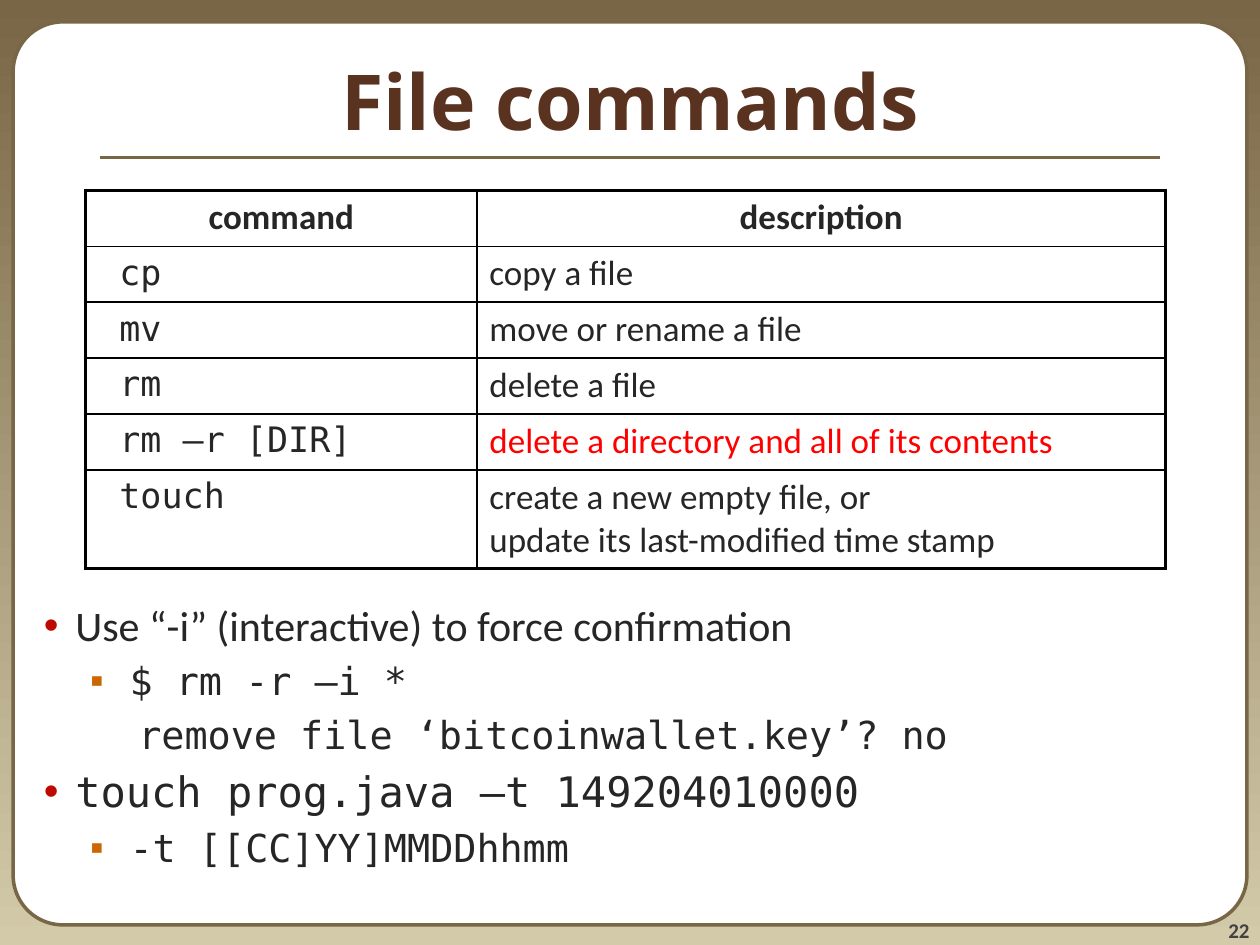
import pptx
import pptx.dml.color
import pptx.enum.shapes
import pptx.enum.text
import pptx.oxml
import pptx.oxml.ns
import pptx.util
from lxml import etree

Pt = pptx.util.Pt
ALIGN = pptx.enum.text.PP_ALIGN
ANCHOR = pptx.enum.text.MSO_ANCHOR
qn = pptx.oxml.ns.qn

BODY_FONT, CODE_FONT, TITLE_FONT = "Calibri", "DejaVu Sans Mono", "Noto Sans"
COLORS = {
    "frame": "796646", "sand": "D3CAAA", "card": "FFFFFF", "title": "5A3320",
    "text": "262626", "warning": "FF0000", "number": "424242", "border": "000000",
    "bullet": "BD0901", "sub_bullet": "CC6600",
}
COMMANDS = [
    ("cp", "copy a file"),
    ("mv", "move or rename a file"),
    ("rm", "delete a file"),
    ("rm –r [DIR]", "delete a directory and all of its contents"),
    ("touch", "create a new empty file, or\vupdate its last-modified time stamp"),
]
# Text, level, font, whether it carries a bullet
NOTES = [
    ("Use “-i” (interactive) to force confirmation", 0, BODY_FONT, True),
    ("$ rm -r –i *", 1, CODE_FONT, True),
    ("remove file ‘bitcoinwallet.key’? no", 1, CODE_FONT, False),
    ("touch prog.java –t 149204010000", 0, CODE_FONT, True),
    ("-t [[CC]YY]MMDDhhmm", 1, CODE_FONT, True),
]


def rgb(name):
    return pptx.dml.color.RGBColor.from_string(COLORS[name])


def write(paragraph, text, font=BODY_FONT, size=20, color="text", bold=False,
          align=ALIGN.LEFT, before=0):
    paragraph.text = text
    paragraph.alignment = align
    paragraph.space_before = Pt(before)
    for run in paragraph.runs:
        run.font.name = font
        run.font.size = Pt(size)
        run.font.bold = bold
        run.font.color.rgb = rgb(color)


def set_bullet(paragraph, left, hanging, character=None, color=None):
    properties = paragraph._p.get_or_add_pPr()
    properties.set("marL", str(int(Pt(left))))
    properties.set("indent", str(-int(Pt(hanging))))
    if character is None:
        etree.SubElement(properties, qn("a:buNone"))
        return
    bullet_color = etree.SubElement(properties, qn("a:buClr"))
    etree.SubElement(bullet_color, qn("a:srgbClr"), val=COLORS[color])
    etree.SubElement(properties, qn("a:buFont"), typeface="Arial")
    etree.SubElement(properties, qn("a:buChar"), char=character)


def set_borders(cell, widths):
    properties = cell._tc.get_or_add_tcPr()
    for side in "LRTB":
        line = etree.SubElement(properties, qn(f"a:ln{side}"), w=str(int(Pt(widths[side]))))
        fill = etree.SubElement(line, qn("a:solidFill"))
        etree.SubElement(fill, qn("a:srgbClr"), val=COLORS["border"])


def add_frame(slide, left, top, width, height):
    # Gradient background, dark at the top
    fill = slide.background.fill
    fill.gradient()
    fill.gradient_angle = 270
    for stop, position, name in zip(fill.gradient_stops, (0, 1), ("frame", "sand")):
        stop.position = position
        stop.color.rgb = rgb(name)
    # Rounded white card
    card = slide.shapes.add_shape(
        pptx.enum.shapes.MSO_SHAPE.ROUNDED_RECTANGLE, Pt(left), Pt(top), Pt(width), Pt(height))
    card.adjustments[0] = 0.055
    card.shadow.inherit = False
    card.fill.solid()
    card.fill.fore_color.rgb = rgb("card")
    card.line.color.rgb = rgb("frame")
    card.line.width = Pt(2)


def add_title(slide, left, top, width, height):
    title = slide.shapes.title
    slide.shapes._spTree.append(title._element)  # bring in front of the card
    title.left, title.top, title.width, title.height = map(Pt, (left, top, width, height))
    title.text_frame.vertical_anchor = ANCHOR.MIDDLE
    write(title.text_frame.paragraphs[0], "File commands", font=TITLE_FONT, size=44,
          color="title", bold=True, align=ALIGN.CENTER)
    # Rule under the title
    margin, rule_top = 57, top + height - 12
    rule = slide.shapes.add_connector(
        pptx.enum.shapes.MSO_CONNECTOR.STRAIGHT, Pt(left + margin), Pt(rule_top),
        Pt(left + width - margin), Pt(rule_top))
    rule.line.color.rgb = rgb("frame")
    rule.line.width = Pt(2.25)
    etree.SubElement(rule._element.spPr, qn("a:effectLst"))


def add_command_table(slide, left, top, width, height):
    rows = [("command", "description")] + COMMANDS
    last, row_height, command_width = len(rows) - 1, 32, 223.5
    table = slide.shapes.add_table(
        len(rows), 2, Pt(left), Pt(top), Pt(width), Pt(height)).table
    table.first_row = table.horz_banding = False
    table.columns[0].width = Pt(command_width)
    table.columns[1].width = Pt(width - command_width)
    for r, texts in enumerate(rows):
        table.rows[r].height = Pt(height - last * row_height if r == last else row_height)
        for c, text in enumerate(texts):
            cell = table.cell(r, c)
            # Heavy outline, thin inner lines
            edges = {"L": c == 0, "R": c == 1, "T": r == 0, "B": r == last}
            set_borders(cell, {side: 2.25 if outer else 1 for side, outer in edges.items()})
            cell.fill.background()
            is_code = r > 0 and c == 0
            cell.margin_left = Pt(19.2 if is_code else 7.2)
            write(cell.text_frame.paragraphs[0], text,
                  font=CODE_FONT if is_code else BODY_FONT,
                  color="warning" if text.startswith("delete a directory") else "text",
                  bold=r == 0, align=ALIGN.CENTER if r == 0 else ALIGN.LEFT)


def add_notes_list(slide, left, top, width, height):
    box = slide.shapes.add_textbox(Pt(left), Pt(top), Pt(width), Pt(height))
    frame = box.text_frame
    frame.word_wrap = True
    for index, (text, level, font, bulleted) in enumerate(NOTES):
        paragraph = frame.add_paragraph() if index else frame.paragraphs[0]
        size = 22 if level else 24
        write(paragraph, text, font=font, size=size, before=size * 0.2 if index else 0)
        paragraph.level = level
        if not bulleted:
            set_bullet(paragraph, 72, 0)
        elif level:
            set_bullet(paragraph, 67, 22.5, "▪", "sub_bullet")
        else:
            set_bullet(paragraph, 36, 18, "•", "bullet")


def add_slide_number(slide, left, top, width, height):
    box = slide.shapes.add_textbox(Pt(left), Pt(top), Pt(width), Pt(height))
    frame = box.text_frame
    frame.word_wrap = True
    frame.vertical_anchor = ANCHOR.BOTTOM
    frame.margin_left = frame.margin_right = frame.margin_top = frame.margin_bottom = 0
    write(frame.paragraphs[0], "22", size=12, color="number", bold=True, align=ALIGN.RIGHT)


def main():
    presentation = pptx.Presentation()
    presentation.slide_width, presentation.slide_height = Pt(720), Pt(540)
    slide = presentation.slides.add_slide(presentation.slide_layouts[5])
    add_frame(slide, 7.5, 12.5, 705, 516)
    add_title(slide, 0, 12, 720, 90)
    add_command_table(slide, 49, 108.75, 617, 216)
    add_notes_list(slide, 0, 339, 720, 180)
    add_slide_number(slide, 654, 510, 60, 28.5)
    presentation.save("out.pptx")


if __name__ == "__main__":
    main()
